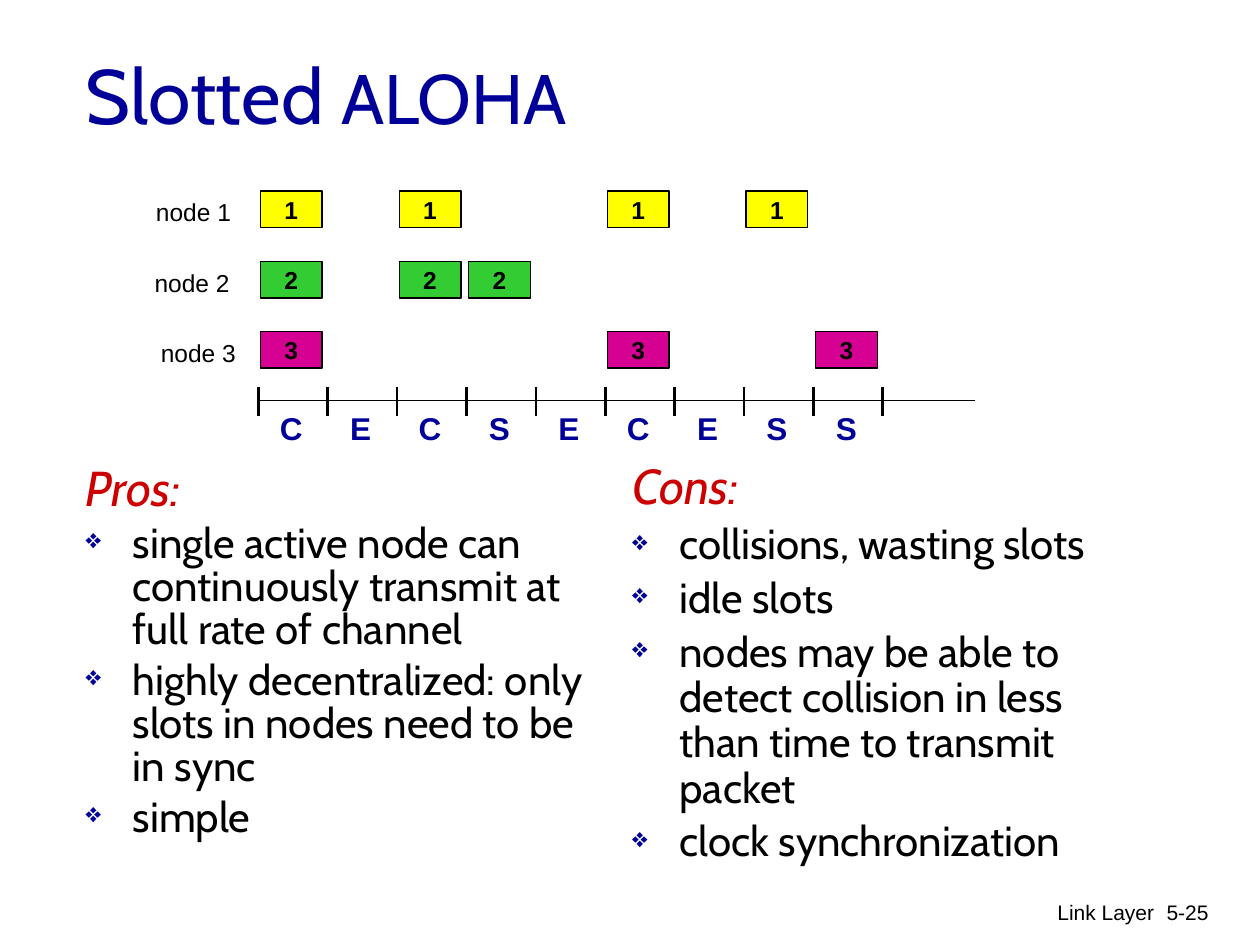
from lxml.etree import SubElement
from pptx import Presentation
from pptx.dml.color import RGBColor
from pptx.enum.shapes import MSO_CONNECTOR, MSO_SHAPE
from pptx.enum.text import MSO_ANCHOR, MSO_AUTO_SIZE, PP_ALIGN
from pptx.oxml.ns import qn
from pptx.util import Pt

BLACK = RGBColor(0x00, 0x00, 0x00)
NAVY = RGBColor(0x00, 0x00, 0x99)
RED = RGBColor(0xCC, 0x00, 0x00)
YELLOW = RGBColor(0xFF, 0xFF, 0x00)
GREEN = RGBColor(0x33, 0xCC, 0x33)
MAGENTA = RGBColor(0xD6, 0x00, 0x93)

AXIS_LEFT, AXIS_RIGHT, AXIS_Y = 147.6, 557.3, 229
SLOT = 39.65
OUTCOMES = "CECSECESS"
NODES = [
    (1, 82, 109.1, YELLOW, (0, 2, 5, 7)),
    (2, 81.2, 149.5, GREEN, (0, 2, 3)),
    (3, 84.8, 189.5, MAGENTA, (0, 5, 8)),
]
PROS = [
    "single active node can continuously transmit at full rate of channel",
    "highly decentralized: only slots in nodes need to be in sync",
    "simple",
]
CONS = [
    "collisions, wasting slots",
    "idle slots",
    "nodes may be able to detect collision in less than time to transmit packet",
    "clock synchronization",
]


class SlideBuilder:
    """Draws styled elements on the current slide."""

    heading_font = "Cabin"
    label_font = "Arial"

    def __init__(self, slide):
        """Keep the slide to draw on."""
        self.slide = slide

    def styled_run(self, paragraph, text, color=BLACK, **font_values):
        """Add a formatted run to a paragraph."""
        run = paragraph.add_run()
        run.text = text
        for name, value in ({"name": self.label_font} | font_values).items():
            setattr(run.font, name, value)
        run.font.color.rgb = color

    def title(self, parts, *box):
        """Place the title and fill in its (text, size) parts."""
        title = self.slide.shapes.title
        for name, value in zip(("left", "top", "width", "height"), box):
            setattr(title, name, Pt(value))
        frame = title.text_frame
        frame.auto_size = MSO_AUTO_SIZE.NONE
        frame.vertical_anchor = MSO_ANCHOR.MIDDLE
        paragraph = frame.paragraphs[0]
        paragraph.alignment = PP_ALIGN.LEFT
        for text, size in parts:
            self.styled_run(paragraph, text, NAVY, name=self.heading_font, size=Pt(size))

    def frame(self, *box):
        """Add a wrapping text box and return its text frame."""
        frame = self.slide.shapes.add_textbox(*map(Pt, box)).text_frame
        frame.word_wrap = True
        return frame

    def label(self, text, box, align=PP_ALIGN.LEFT, color=BLACK, **font_values):
        """Add a one-line label."""
        paragraph = self.frame(*box).paragraphs[0]
        paragraph.alignment = align
        self.styled_run(paragraph, text, color, **font_values)

    def packet(self, number, left, top, fill):
        """Add a numbered packet box."""
        packet = self.slide.shapes.add_shape(
            MSO_SHAPE.RECTANGLE, Pt(left), Pt(top), Pt(35.3), Pt(20.9))
        packet.shadow.inherit = False
        packet.fill.solid()
        packet.fill.fore_color.rgb = fill
        packet.line.color.rgb = BLACK
        packet.line.width = Pt(0.75)
        frame = packet.text_frame
        for side in ("left", "top", "right", "bottom"):
            setattr(frame, f"margin_{side}", 0)
        frame.vertical_anchor = MSO_ANCHOR.MIDDLE
        paragraph = frame.paragraphs[0]
        paragraph.alignment = PP_ALIGN.CENTER
        self.styled_run(paragraph, str(number), size=Pt(14), bold=True)

    def line(self, x1, y1, x2, y2, width):
        """Add a straight black line."""
        line = self.slide.shapes.add_connector(
            MSO_CONNECTOR.STRAIGHT, Pt(x1), Pt(y1), Pt(x2), Pt(y2))
        line.line.color.rgb = BLACK
        line.line.width = Pt(width)
        SubElement(line.element.spPr, qn("a:effectLst"))

    def bullet_list(self, heading, items, box, spacing):
        """Add a red heading followed by bulleted items."""
        frame = self.frame(*box)
        for index, text in enumerate([heading, *items]):
            paragraph = frame.paragraphs[0] if index == 0 else frame.add_paragraph()
            size = 24 if index else 28
            paragraph.line_spacing = spacing
            paragraph.space_before = Pt(size * 0.2)
            properties = paragraph._p.get_or_add_pPr()
            properties.set("marL", str(Pt(27)))
            properties.set("indent", str(-Pt(27)))
            if index:
                bullet_color = SubElement(properties, qn("a:buClr"))
                SubElement(bullet_color, qn("a:srgbClr"), val=str(NAVY))
                SubElement(properties, qn("a:buSzPct"), val="65000")
                SubElement(properties, qn("a:buChar"), char="❖")
            self.styled_run(paragraph, text, BLACK if index else RED,
                            name=self.heading_font, size=Pt(size), italic=index == 0)


def main():
    """Build the slide and save it."""
    deck = Presentation()
    deck.slide_width, deck.slide_height = Pt(720), Pt(540)
    builder = SlideBuilder(deck.slides.add_slide(deck.slide_layouts[5]))

    builder.title([("Slotted ", 44), ("ALOHA", 40)], 41.8, 8.6, 390, 90)
    builder.bullet_list("Pros:", PROS, (41.8, 262.8, 300, 252), 0.85)
    builder.bullet_list("Cons:", CONS, (354.2, 260.6, 300, 252), 0.9)

    for number, label_left, top, fill, slots in NODES:
        builder.label(f"node {number}", (label_left, top, 60, 24), size=Pt(14))
        for slot in slots:
            builder.packet(number, AXIS_LEFT + slot * SLOT + 1.2, top, fill)

    builder.line(AXIS_LEFT, AXIS_Y, AXIS_RIGHT, AXIS_Y, 0.75)
    for tick in range(len(OUTCOMES) + 1):
        x = AXIS_LEFT + tick * SLOT
        builder.line(x, AXIS_Y - 8, x, AXIS_Y + 9, 1.5)
    for slot, outcome in enumerate(OUTCOMES):
        builder.label(outcome, (AXIS_LEFT + slot * SLOT - 1, 230.2, SLOT, 29),
                      PP_ALIGN.CENTER, NAVY, size=Pt(18), bold=True)

    builder.label("Link Layer", (438.5, 510.5, 228.2, 36), PP_ALIGN.RIGHT, size=Pt(12))
    builder.label("5-25", (644.4, 510.5, 53.3, 36), PP_ALIGN.RIGHT, size=Pt(12))
    deck.save("out.pptx")


if __name__ == "__main__":
    main()
